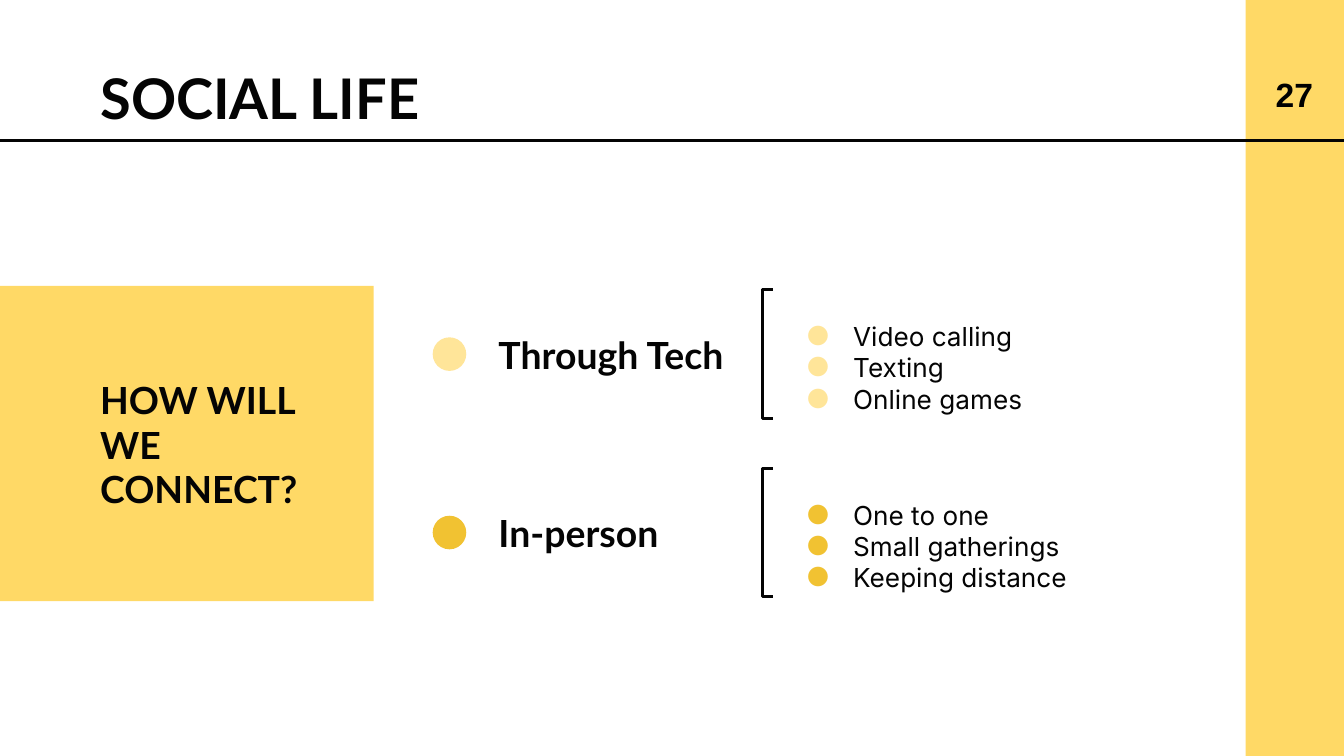
from lxml.etree import SubElement
from pptx import Presentation
from pptx.dml.color import RGBColor
from pptx.enum.shapes import MSO_CONNECTOR, MSO_SHAPE
from pptx.enum.text import MSO_ANCHOR, MSO_AUTO_SIZE, PP_ALIGN
from pptx.oxml.ns import qn
from pptx.util import Pt

YELLOW = RGBColor(0xFF, 0xD9, 0x66)
PALE = RGBColor(0xFF, 0xE5, 0x99)
GOLD = RGBColor(0xF1, 0xC2, 0x32)
INK = RGBColor(0x04, 0x04, 0x04)
BLACK = RGBColor(0, 0, 0)


def add_filled(page, preset, left, top, width, height, color):
    shape = page.shapes.add_shape(preset, Pt(left), Pt(top), Pt(width), Pt(height))
    shape.shadow.inherit = False
    shape.fill.solid()
    shape.fill.fore_color.rgb = color
    shape.line.fill.background()


def write(box, place, lines, size, font="Lato", color=INK, bold=True,
          anchor=MSO_ANCHOR.MIDDLE, align=PP_ALIGN.LEFT, top_inset=7.2, bullet=None):
    box.left, box.top, box.width, box.height = [Pt(length) for length in place]
    frame = box.text_frame
    frame.word_wrap = True
    frame.auto_size = MSO_AUTO_SIZE.NONE
    frame.vertical_anchor = anchor
    frame.margin_left = frame.margin_right = frame.margin_bottom = Pt(7.2)
    frame.margin_top = Pt(top_inset)
    for number, line in enumerate(lines):
        para = frame.add_paragraph() if number else frame.paragraphs[0]
        para.alignment = align
        if bullet is not None:
            props = para._p.get_or_add_pPr()
            props.set("marL", str(Pt(36)))
            props.set("indent", str(Pt(-25.2)))
            bullet_color = SubElement(props, qn("a:buClr"))
            SubElement(bullet_color, qn("a:srgbClr")).set("val", str(bullet))
            SubElement(props, qn("a:buFont")).set("typeface", font)
            SubElement(props, qn("a:buChar")).set("char", "●")
        span = para.add_run()
        span.text = line
        span.font.name = font
        span.font.size = Pt(size)
        span.font.bold = bold
        span.font.color.rgb = color


deck = Presentation()
deck.slide_width, deck.slide_height = Pt(720), Pt(405)
page = deck.slides.add_slide(deck.slide_layouts[5])

# Side band, header rule and page number
add_filled(page, MSO_SHAPE.RECTANGLE, 667.4, 0, 52.6, 405, YELLOW)
rule = page.shapes.add_connector(MSO_CONNECTOR.STRAIGHT, 0, Pt(75.2), Pt(720), Pt(75.2))
rule.line.color.rgb = INK
rule.line.width = Pt(1.5)
SubElement(rule._element.spPr, qn("a:effectLst"))
write(page.shapes.add_textbox(0, 0, 0, 0), (673.2, 34.8, 40.4, 31), ["27"], 18,
      font="Arial", color=BLACK, align=PP_ALIGN.CENTER)

# Title
write(page.shapes.title, (46.6, 26.8, 246, 53), ["SOCIAL LIFE"], 30, anchor=MSO_ANCHOR.TOP)

# Question panel
add_filled(page, MSO_SHAPE.RECTANGLE, 0, 153.2, 200.2, 168.8, YELLOW)
write(page.shapes.add_textbox(0, 0, 0, 0), (46.6, 203.4, 143.2, 69),
      ["HOW WILL WE CONNECT?"], 20)

# Answer rows: dot, heading, bracket, bullet list
rows = [
    ("Through Tech", PALE, ["Video calling", "Texting", "Online games"]),
    ("In-person", GOLD, ["One to one", "Small gatherings", "Keeping distance"]),
]
for number, (heading, color, items) in enumerate(rows):
    top = 155.2 + 95.6 * number
    middle = top + 34.5
    add_filled(page, MSO_SHAPE.OVAL, 231.8, middle - 9, 18, 18, color)
    write(page.shapes.add_textbox(0, 0, 0, 0), (260, middle - 22.5, 143.2, 45), [heading], 20)
    bracket = page.shapes.add_shape(MSO_SHAPE.LEFT_BRACKET, Pt(408.4), Pt(top), Pt(5.6), Pt(69))
    bracket.adjustments[0] = 0
    bracket.shadow.inherit = False
    bracket.fill.background()
    bracket.line.color.rgb = INK
    bracket.line.width = Pt(1.5)
    write(page.shapes.add_textbox(0, 0, 0, 0), (414, top, 216.8, 69), items, 14,
          font="Inter", bold=False, top_inset=21.6, bullet=color)

deck.save("out.pptx")
